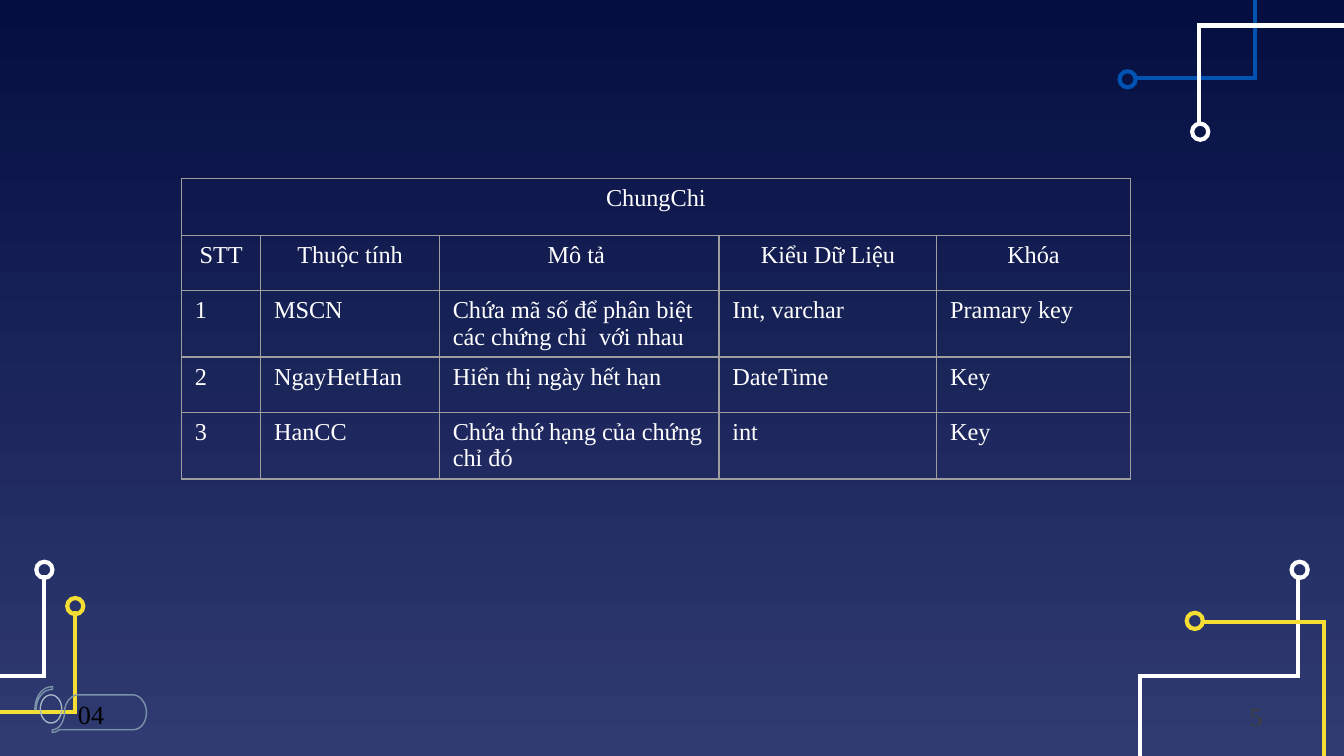
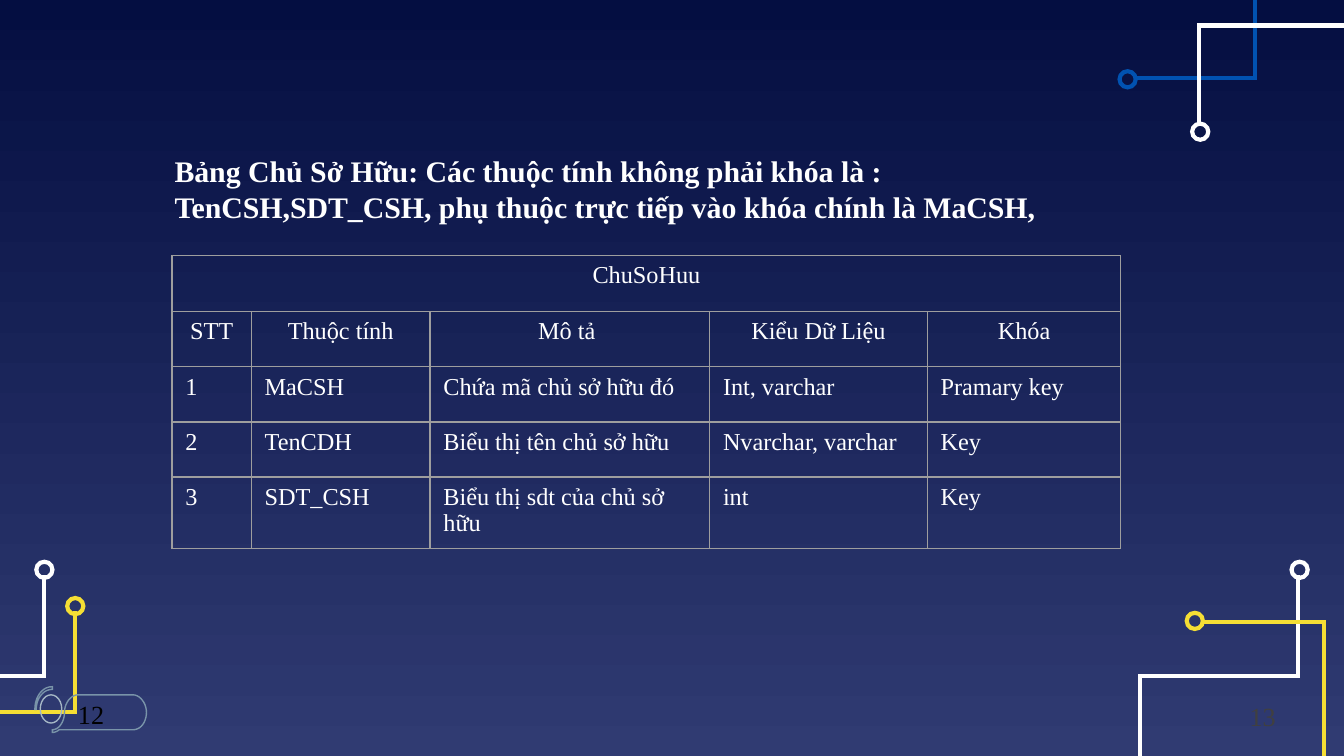
from lxml import etree
from pptx import Presentation
from pptx.dml.color import RGBColor
from pptx.enum.shapes import MSO_SHAPE
from pptx.enum.text import MSO_ANCHOR, MSO_AUTO_SIZE, PP_ALIGN
from pptx.oxml.ns import qn
from pptx.util import Inches, Pt

FONT = "Times New Roman"
WHITE, BLUE, YELLOW = "FFFFFF", "0152B1", "F5DE34"
BLACK, GREY = "000000", "404040"
BORDER, BADGE, BADGE_RING = "9E9E9E", "7994A9", "A5B7C5"
BACKGROUND = ("040E41", "303B72")

# Content
HEADINGS = ("STT", "Thuộc tính", "Mô tả ", "Kiểu Dữ Liệu", "Khóa")
COLUMN_WIDTHS = (0.59, 1.33, 2.08, 1.62, 1.44)
TITLE_ROW, BODY_ROW = 0.42, 0.41

SLIDES = [
    {
        "badge": "04",
        "page": "5",
        "table": "ChungChi",
        "place": (1.35, 1.33, 2.3),
        "attributes": [
            ("MSCN", "Chứa mã số để phân biệt các chứng chỉ  với nhau",
             "Int, varchar", "Pramary key"),
            ("NgayHetHan", "Hiển thị ngày hết hạn", "DateTime", "Key"),
            ("HanCC", "Chứa thứ hạng của chứng chỉ đó", "int", "Key"),
        ],
    },
    {
        "badge": "12",
        "page": "13",
        "statement": "Bảng Chủ Sở Hữu: Các thuộc tính không phải khóa là : "
                     "TenCSH,SDT_CSH, phụ thuộc trực tiếp vào khóa chính là MaCSH,",
        "table": "ChuSoHuu",
        "place": (1.28, 1.9, 2.17),
        "attributes": [
            ("MaCSH", "Chứa mã chủ sở hữu đó", "Int, varchar", "Pramary key"),
            ("TenCDH", "Biểu thị tên chủ sở hữu", "Nvarchar, varchar", "Key"),
            ("SDT_CSH", "Biểu thị sdt của chủ sở hữu", "int", "Key"),
        ],
    },
]

# Circuit traces: colour, ring corner, bends of the wire
RING = 0.12
CIRCUITS = [
    (WHITE, (9.61, 4.18), [(9.66, 4.28), (9.66, 5.03), (8.48, 5.03), (8.48, 5.72)]),
    (BLUE, (8.33, 0.53), [(8.45, 0.58), (9.34, 0.58), (9.34, -0.52)]),
    (WHITE, (8.87, 0.92), [(8.92, 0.93), (8.92, 0.19), (10.11, 0.19), (10.11, -0.52)]),
    (YELLOW, (8.83, 4.56), [(8.94, 4.63), (9.85, 4.63), (9.85, 5.71)]),
    (WHITE, (0.27, 4.18), [(0.33, 4.28), (0.33, 5.03), (-0.86, 5.03), (-0.86, 5.72)]),
    (YELLOW, (0.5, 4.45), [(0.56, 4.55), (0.56, 5.3), (-0.63, 5.3), (-0.63, 5.98)]),
]

# Badge outlines: two numbers end a straight step, six a Bézier curve
BADGE_ARC = [(0.39, 5.11), (0.31, 5.11, 0.26, 5.19, 0.26, 5.28), (0.27, 5.28),
             (0.27, 5.2, 0.32, 5.13, 0.39, 5.13)]
BADGE_PILL = [(0.58, 5.17), (0.53, 5.17, 0.48, 5.23, 0.48, 5.3),
              (0.48, 5.37, 0.44, 5.43, 0.39, 5.43), (0.39, 5.45),
              (0.41, 5.45, 0.43, 5.44, 0.44, 5.43), (0.99, 5.43),
              (1.05, 5.43, 1.09, 5.37, 1.09, 5.3),
              (1.09, 5.23, 1.04, 5.17, 0.99, 5.17)]


def rgb(color):
    return RGBColor.from_string(color)


def write(frame, text, size=14, color=WHITE, bold=False, align=PP_ALIGN.LEFT):
    paragraph = frame.paragraphs[0]
    paragraph.alignment = align
    run = paragraph.add_run()
    run.text = text
    run.font.name, run.font.size, run.font.bold = FONT, Pt(size), bold
    run.font.color.rgb = rgb(color)


def outline(shape, color, width):
    shape.shadow.inherit = False
    shape.fill.background()
    shape.line.color.rgb = rgb(color)
    shape.line.width = Pt(width)
    stroke = shape._element.spPr.find(qn("a:ln"))
    etree.SubElement(stroke, qn("a:miter"), lim="800000")
    return shape


def ring(slide, left, top, width, height, color, weight):
    oval = slide.shapes.add_shape(
        MSO_SHAPE.OVAL, Inches(left), Inches(top), Inches(width), Inches(height))
    return outline(oval, color, weight)


def trace(slide, points, color, weight, close=False):
    steps = [(Inches(x), Inches(y)) for x, y in points]
    builder = slide.shapes.build_freeform(*steps[0])
    builder.add_line_segments(steps[1:], close=close)
    return outline(builder.convert_to_shape(), color, weight)


def flatten(path, parts=10):
    """Turn Bézier steps into short straight ones."""
    points = [path[0]]
    for step in path[1:]:
        if len(step) == 2:
            points.append(step)
            continue
        corners = [points[-1], step[:2], step[2:4], step[4:]]
        for i in range(1, parts + 1):
            t = i / parts
            weights = ((1 - t) ** 3, 3 * t * (1 - t) ** 2, 3 * t * t * (1 - t), t ** 3)
            points.append(tuple(sum(w * corner[axis] for w, corner in zip(weights, corners))
                                for axis in (0, 1)))
    return points


def add_text_box(slide, left, top, width, height, text, **style):
    box = slide.shapes.add_textbox(Inches(left), Inches(top), Inches(width), Inches(height))
    box.text_frame.word_wrap = True
    box.text_frame.auto_size = MSO_AUTO_SIZE.SHAPE_TO_FIT_TEXT
    write(box.text_frame, text, **style)


def decorate(slide):
    fill = slide.background.fill
    fill.gradient()
    fill.gradient_angle = 270
    for stop, color in zip(fill.gradient_stops, BACKGROUND):
        stop.color.rgb = rgb(color)
    for color, corner, wire in CIRCUITS:
        trace(slide, wire, color, 2.25)
        ring(slide, *corner, RING, RING, color, 2.25)


def add_badge(slide, number):
    trace(slide, flatten(BADGE_ARC), BADGE, 0.75, close=True)
    ring(slide, 0.3, 5.17, 0.16, 0.21, BADGE_RING, 0.75)
    pill = trace(slide, flatten(BADGE_PILL), BADGE, 0.75, close=True)
    frame = pill.text_frame
    frame.word_wrap = True
    frame.vertical_anchor = MSO_ANCHOR.MIDDLE
    frame.margin_left, frame.margin_right = Inches(0.19), Inches(0.1)
    frame.margin_top = frame.margin_bottom = Inches(0.1)
    write(frame, number, color=BLACK)


def style_cell(cell):
    cell.fill.background()
    properties = cell._tc.get_or_add_tcPr()
    for position, side in enumerate(("a:lnL", "a:lnR", "a:lnT", "a:lnB")):
        border = etree.Element(qn(side), w=str(Pt(0.75)))
        paint = etree.SubElement(border, qn("a:solidFill"))
        etree.SubElement(paint, qn("a:srgbClr"), val=BORDER)
        properties.insert(position, border)


def add_attribute_table(slide, name, place, attributes):
    numbered = [(str(n), *fields) for n, fields in enumerate(attributes, 1)]
    rows = [(name,), HEADINGS, *numbered]
    left, top, height = place
    frame = slide.shapes.add_table(
        len(rows), len(HEADINGS), Inches(left), Inches(top),
        Inches(sum(COLUMN_WIDTHS)), Inches(height))
    table = frame.table
    table.first_row = table.horz_banding = False
    for column, width in zip(table.columns, COLUMN_WIDTHS):
        column.width = Inches(width)
    for r, row in enumerate(table.rows):
        row.height = Inches(BODY_ROW if r else TITLE_ROW)
        for cell in row.cells:
            style_cell(cell)
    frame.height = Inches(height)
    table.cell(0, 0).merge(table.cell(0, len(HEADINGS) - 1))
    for r, values in enumerate(rows):
        for c, value in enumerate(values):
            write(table.cell(r, c).text_frame, value, size=13,
                  align=PP_ALIGN.CENTER if r < 2 else PP_ALIGN.LEFT)


def main():
    deck = Presentation()
    deck.slide_width = Inches(10)
    deck.slide_height = deck.slide_width * 9 // 16
    for content in SLIDES:
        slide = deck.slides.add_slide(deck.slide_layouts[6])
        decorate(slide)
        if "statement" in content:
            add_text_box(slide, 1.2, 1.09, 7.39, 0.64, content["statement"],
                         size=16, bold=True)
        add_attribute_table(slide, content["table"], content["place"], content["attributes"])
        add_badge(slide, content["badge"])
        add_text_box(slide, 9.2, 5.16, 0.5, 0.32, content["page"], color=GREY)
    deck.save("out.pptx")


if __name__ == "__main__":
    main()
